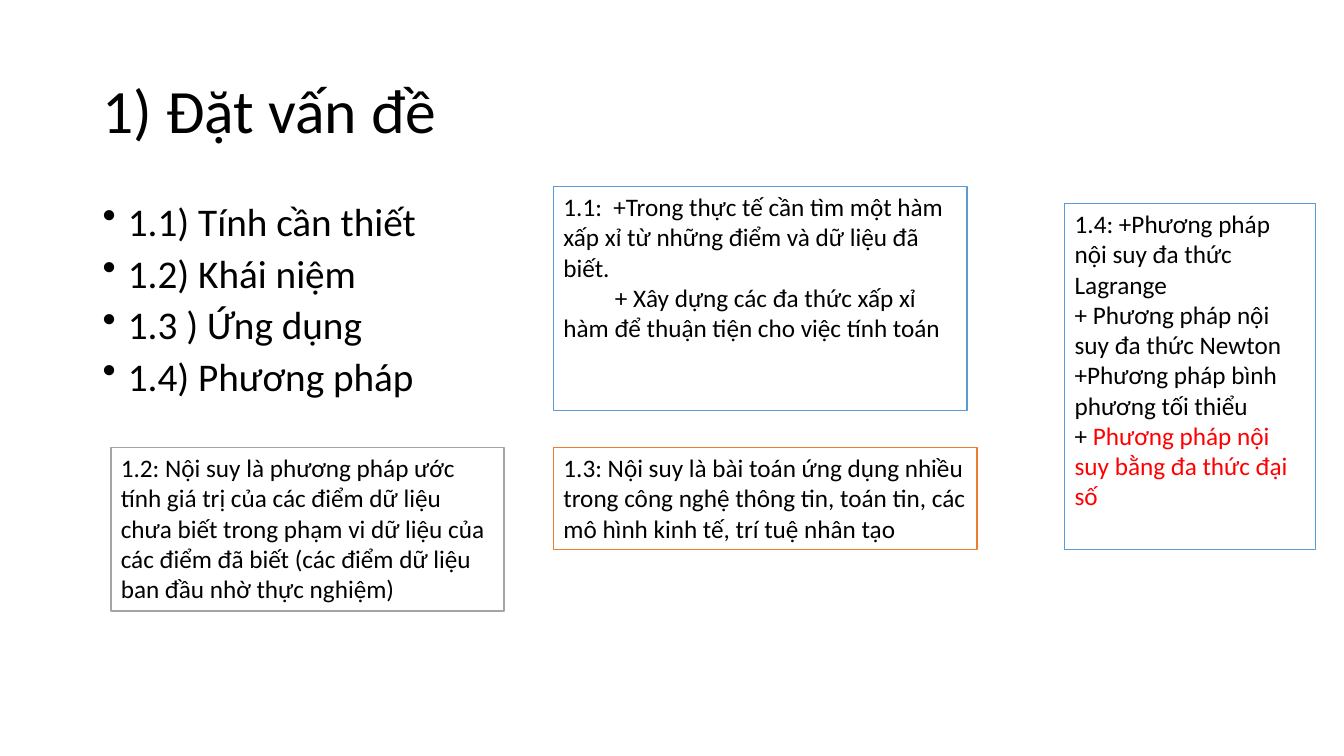
from dataclasses import dataclass
from typing import NamedTuple

from lxml import etree
from pptx import Presentation
from pptx import util as u
from pptx.dml.color import RGBColor
from pptx.enum import shapes, text
from pptx.oxml import ns


@dataclass(frozen=True)
class Theme:
    """Colours, font and type sizes of the slide."""
    font: str = "Calibri"
    ink: str = "000000"
    paper: str = "FFFFFF"
    red: str = "FF0000"
    blue: str = "5B9BD5"
    gray: str = "A5A5A5"
    orange: str = "ED7D31"
    title: int = 44
    list: int = 28
    note: int = 18


class Area(NamedTuple):
    """Left, top, width and height in inches."""
    left: float
    top: float
    width: float
    height: float


class Line(NamedTuple):
    """One paragraph: plain text, red text, first-line indent in inches."""
    plain: str
    red: str = ""
    indent: float = 0


class Note(NamedTuple):
    """A framed box of text."""
    area: Area
    edge: str
    lines: list[Line]


THEME = Theme()
COL, ROW = 5.49, 4.44

TOPICS = ["1.1) Tính cần thiết", "1.2) Khái niệm", "1.3 ) Ứng dụng", "1.4) Phương pháp"]

NOTES = [
    Note(Area(COL, 1.85, 4.1, 2.22), THEME.blue, [
        Line("1.1:  +Trong thực tế cần tìm một hàm xấp xỉ từ những điểm và dữ liệu đã biết."),
        Line("+ Xây dựng các đa thức xấp xỉ hàm để thuận tiện cho việc tính toán", indent=0.51),
    ]),
    Note(Area(1.1, ROW, 3.9, 1.62), THEME.gray, [
        Line("1.2: Nội suy là phương pháp ước tính giá trị của các điểm dữ liệu chưa biết "
             "trong phạm vi dữ liệu của các điểm đã biết (các điểm dữ liệu ban đầu nhờ "
             "thực nghiệm)"),
    ]),
    Note(Area(COL, ROW, 4.2, 1.01), THEME.orange, [
        Line("1.3: Nội suy là bài toán ứng dụng nhiều trong công nghệ thông tin, toán tin, "
             "các mô hình kinh tế, trí tuệ nhân tạo"),
    ]),
    Note(Area(10.56, 2.02, 2.49, 3.43), THEME.blue, [
        Line("1.4: +Phương pháp nội suy đa thức Lagrange"),
        Line("+ Phương pháp nội suy đa thức Newton"),
        Line("+Phương pháp bình phương tối thiểu"),
        Line("+ ", red="Phương pháp nội suy bằng đa thức đại số"),
    ]),
]


def place(area: Area) -> list[u.Length]:
    """Turn an area into lengths."""
    return [u.Inches(side) for side in area]


def color(code: str) -> RGBColor:
    """Read a hex colour."""
    return RGBColor.from_string(code)


def write(frame, lines: list[Line], size: int) -> list:
    """Fill a text frame and return its paragraphs."""
    frame.word_wrap = True
    for count, line in enumerate(lines):
        para = frame.add_paragraph() if count else frame.paragraphs[0]
        para.alignment = text.PP_ALIGN.LEFT
        para.font.name = THEME.font
        para.font.size = u.Pt(size)
        para.font.color.rgb = color(THEME.ink)
        para.add_run().text = line.plain
        if line.red:
            run = para.add_run()
            run.text = line.red
            run.font.color.rgb = color(THEME.red)
        if line.indent:
            inset(para, 0, line.indent)
    return list(frame.paragraphs)


def inset(para, left: float, first: float) -> None:
    """Set the left margin and first-line indent in inches."""
    props = para._p.get_or_add_pPr()
    props.set("marL", str(u.Inches(left)))
    props.set("indent", str(u.Inches(first)))


def bullet(para) -> None:
    """Give a paragraph a hanging round bullet."""
    inset(para, 0.25, -0.25)
    mark = etree.Element(ns.qn("a:buChar"), char="•")
    para._p.get_or_add_pPr().find(ns.qn("a:defRPr")).addprevious(mark)


def draw_title(slide, area: Area, words: str) -> None:
    """Draw the heading."""
    frame = slide.shapes.add_textbox(*place(area)).text_frame
    frame.vertical_anchor = text.MSO_ANCHOR.MIDDLE
    for para in write(frame, [Line(words)], THEME.title):
        para.line_spacing = 0.9


def draw_list(slide, area: Area, topics: list[str]) -> None:
    """Draw the bulleted topics."""
    frame = slide.shapes.add_textbox(*place(area)).text_frame
    for count, para in enumerate(write(frame, [Line(topic) for topic in topics], THEME.list)):
        para.line_spacing = 0.8
        para.space_before = u.Pt(10 if count else 0)
        bullet(para)


def draw_note(slide, note: Note) -> None:
    """Draw a framed note."""
    box = slide.shapes.add_shape(shapes.MSO_SHAPE.RECTANGLE, *place(note.area))
    box.shadow.inherit = False
    box.fill.solid()
    box.fill.fore_color.rgb = color(THEME.paper)
    box.line.color.rgb = color(note.edge)
    box.line.width = u.Pt(1)
    box.text_frame.vertical_anchor = text.MSO_ANCHOR.TOP
    write(box.text_frame, note.lines, THEME.note)


def main() -> None:
    """Build and save the slide."""
    deck = Presentation()
    deck.slide_width, deck.slide_height = u.Inches(13.33), u.Inches(7.5)
    slide = deck.slides.add_slide(deck.slide_layouts[6])
    draw_title(slide, Area(0.92, 0.4, 11.5, 1.45), "1) Đặt vấn đề")
    draw_list(slide, Area(0.92, 2, 4.08, 2.1), TOPICS)
    for note in NOTES:
        draw_note(slide, note)
    deck.save("out.pptx")


main()
